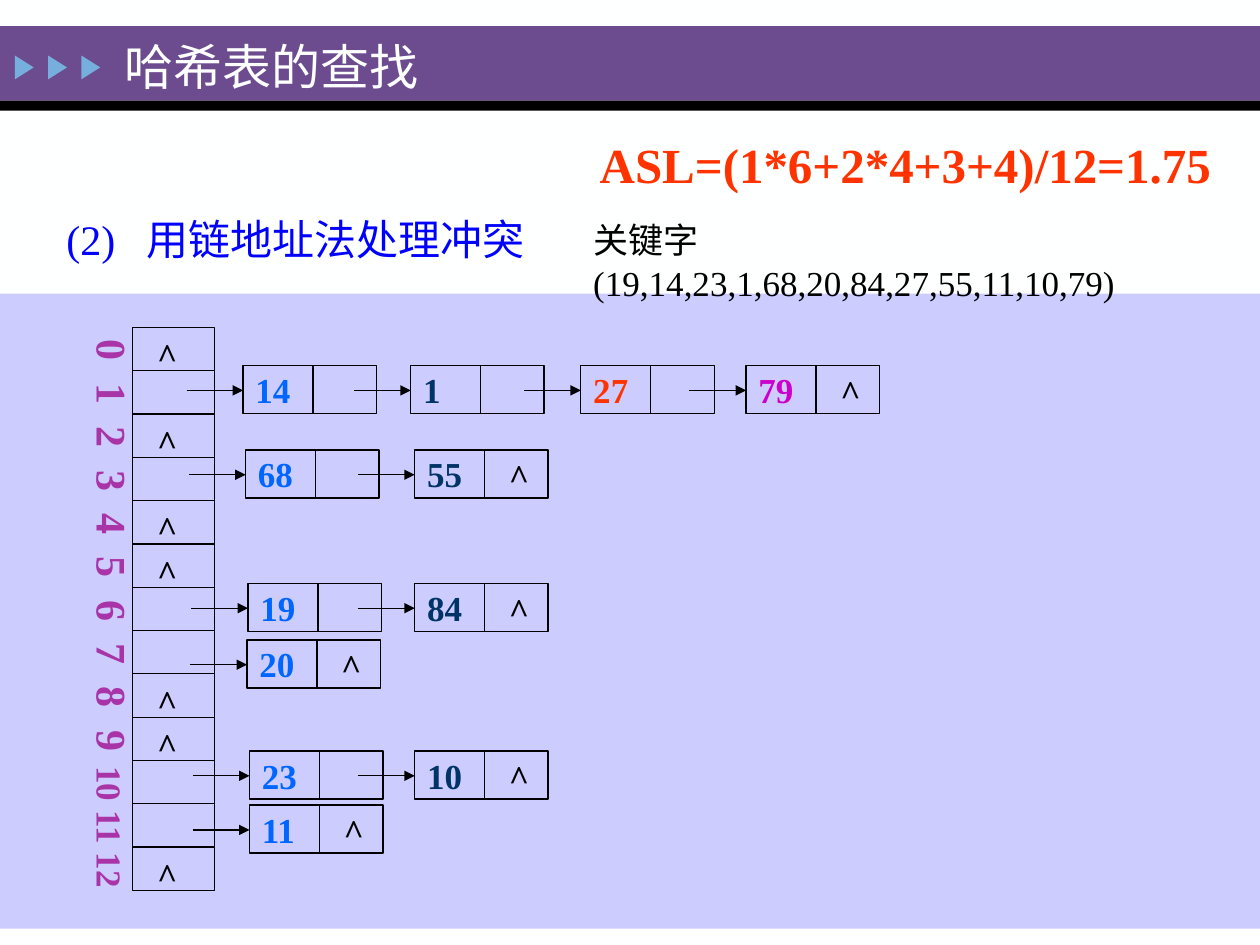
from pptx import Presentation
from pptx.dml.color import RGBColor
from pptx.enum.shapes import MSO_CONNECTOR, MSO_SHAPE
from pptx.enum.text import MSO_ANCHOR, MSO_AUTO_SIZE, PP_ALIGN
from pptx.oxml.ns import qn
from pptx.util import Cm, Pt
from lxml.etree import SubElement

# Hash table slots (cm)
SLOT_COUNT = 13
TABLE_LEFT, TABLE_TOP, TABLE_WIDTH, TABLE_HEIGHT = 2.67, 6.6, 1.65, 11.35
SLOT_HEIGHT = TABLE_HEIGHT / SLOT_COUNT
EMPTY_SLOTS = (0, 2, 4, 5, 8, 9, 12)

# Chain nodes (cm)
NODE_WIDTH, NODE_HEIGHT = 2.69, 0.97
DIVIDER_OFFSET = 1.41
ARROW_LENGTH, ARROW_OFFSET = 1.14, 0.5
CARET_OFFSET = 1.65
NODE_COLORS = ("0066FF", "003366", "FF3300", "CC00CC")
# Top of each chain, then its nodes as (left, key)
CHAINS = (
    (7.37, ((4.9, "14"), (8.28, "1"), (11.71, "27"), (15.04, "79"))),
    (9.07, ((4.95, "68"), (8.36, "55"))),
    (11.76, ((5, "19"), (8.36, "84"))),
    (12.9, ((4.98, "20"),)),
    (15.14, ((5.03, "23"), (8.36, "10"))),
    (16.23, ((5.03, "11"),)),
)


def color(hex_string):
    return RGBColor.from_string(hex_string)


class SlideBuilder:
    font_name = "Times New Roman"
    line_color = "000000"
    line_width = Pt(0.75)

    def __init__(self, slide):
        self.slide = slide

    def style(self, paragraph, size, text_color, bold=False):
        paragraph.alignment = PP_ALIGN.LEFT
        font = paragraph.font
        font.name = self.font_name
        font.size = Pt(size)
        font.bold = bold
        font.color.rgb = color(text_color)

    def tab_stops(self, paragraph, positions, alignment):
        """Add tab stops; call before the paragraph font is set."""
        tab_list = SubElement(paragraph._p.get_or_add_pPr(), qn("a:tabLst"))
        for position in positions:
            SubElement(tab_list, qn("a:tab"), pos=str(Cm(position)), algn=alignment)

    def title(self, text, left, top, width, height):
        title = self.slide.shapes.title
        title.left, title.top = Cm(left), Cm(top)
        title.width, title.height = Cm(width), Cm(height)
        frame = title.text_frame
        frame.text = text
        frame.auto_size = MSO_AUTO_SIZE.NONE
        frame.vertical_anchor = MSO_ANCHOR.MIDDLE
        self.style(frame.paragraphs[0], 28, "FEFFFF")
        # Bring the title in front of the header band
        title._element.getparent().append(title._element)

    def shape(self, kind, left, top, width, height, fill=None):
        """Draw a filled shape, or an outlined one when no fill is given."""
        shape = self.slide.shapes.add_shape(
            kind, Cm(left), Cm(top), Cm(width), Cm(height))
        shape.shadow.inherit = False
        if fill:
            shape.fill.solid()
            shape.fill.fore_color.rgb = color(fill)
            shape.line.fill.background()
        else:
            shape.fill.background()
            shape.line.color.rgb = color(self.line_color)
            shape.line.width = self.line_width
        return shape

    def line(self, x1, y1, x2, y2, arrow=False):
        connector = self.slide.shapes.add_connector(
            MSO_CONNECTOR.STRAIGHT, Cm(x1), Cm(y1), Cm(x2), Cm(y2))
        connector.line.color.rgb = color(self.line_color)
        connector.line.width = self.line_width
        if arrow:
            SubElement(connector.line._get_or_add_ln(), qn("a:tailEnd"), type="triangle")
        SubElement(connector._element.spPr, qn("a:effectLst"))

    def text_box(self, left, top, width, height, wrap=True):
        box = self.slide.shapes.add_textbox(Cm(left), Cm(top), Cm(width), Cm(height))
        frame = box.text_frame
        frame.word_wrap = wrap
        frame.auto_size = MSO_AUTO_SIZE.NONE if wrap else MSO_AUTO_SIZE.SHAPE_TO_FIT_TEXT
        return frame

    def text(self, text, place, size, text_color, bold=False, wrap=True, tabs=()):
        paragraph = self.text_box(*place, wrap=wrap).paragraphs[0]
        paragraph.text = text
        if tabs:
            self.tab_stops(paragraph, tabs, "l")
        self.style(paragraph, size, text_color, bold)

    def caret(self, left, top):
        """Mark an empty pointer."""
        self.text("^", (left, top, 0.91, 1.09), 20, "000000", bold=True, wrap=False)

    def slot_numbers(self):
        frame = self.text_box(1.37, TABLE_TOP, 1.55, 12.12)
        frame._txBody.bodyPr.set("vert", "eaVert")
        paragraph = frame.paragraphs[0]
        self.tab_stops(
            paragraph, [i * SLOT_HEIGHT + 0.22 for i in range(1, SLOT_COUNT)], "ctr")
        self.style(paragraph, 24, "A834A8", bold=True)
        numbers = [str(i) for i in range(SLOT_COUNT)]
        paragraph.add_run().text = "\t".join(numbers[:10]) + "\t"
        two_digits = paragraph.add_run()
        two_digits.text = "\t".join(numbers[10:])
        two_digits.font.size = Pt(20)

    def slots(self):
        self.shape(MSO_SHAPE.RECTANGLE, TABLE_LEFT, TABLE_TOP, TABLE_WIDTH, TABLE_HEIGHT)
        for i in range(1, SLOT_COUNT):
            y = TABLE_TOP + i * SLOT_HEIGHT
            self.line(TABLE_LEFT, y, TABLE_LEFT + TABLE_WIDTH, y)
        for i in EMPTY_SLOTS:
            self.caret(TABLE_LEFT + 0.25, TABLE_TOP + i * SLOT_HEIGHT)

    def node(self, left, top, key, key_color):
        """Draw a list node with the arrow that leads to it."""
        box = self.shape(MSO_SHAPE.RECTANGLE, left, top, NODE_WIDTH, NODE_HEIGHT)
        box.text_frame.text = key
        box.text_frame.vertical_anchor = MSO_ANCHOR.MIDDLE
        self.style(box.text_frame.paragraphs[0], 20, key_color, bold=True)
        divider = left + DIVIDER_OFFSET
        self.line(divider, top, divider, top + NODE_HEIGHT)
        arrow_y = top + ARROW_OFFSET
        self.line(left - ARROW_LENGTH, arrow_y, left, arrow_y, arrow=True)

    def chain(self, top, nodes):
        for (left, key), key_color in zip(nodes, NODE_COLORS):
            self.node(left, top, key, key_color)
        last_left = nodes[-1][0]
        self.caret(last_left + CARET_OFFSET, top - 0.03)


def main():
    presentation = Presentation()
    presentation.slide_width, presentation.slide_height = Cm(25.4), Cm(19.05)
    slide = presentation.slides.add_slide(presentation.slide_layouts[5])
    slide.background.fill.solid()
    slide.background.fill.fore_color.rgb = color("FEFFFF")
    builder = SlideBuilder(slide)

    builder.shape(MSO_SHAPE.RECTANGLE, 0, 0.53, 25.4, 1.5, "6C4C8F")
    builder.shape(MSO_SHAPE.RECTANGLE, 0, 2.03, 25.4, 0.2, "000000")
    for i in range(3):
        triangle = builder.shape(
            MSO_SHAPE.ISOSCELES_TRIANGLE, 0.25 + 0.67 * i, 1.17, 0.48, 0.38, "76AEDD")
        triangle.rotation = 90

    builder.shape(MSO_SHAPE.RECTANGLE, 0, 5.92, 25.4, 12.8, "CCCCFF")
    builder.text("(2)\t用链地址法处理冲突", (1.09, 4.17, 9.91, 1.3), 24, "0000FF",
                 tabs=[1.62])
    builder.slots()
    builder.slot_numbers()
    for top, nodes in CHAINS:
        builder.chain(top, nodes)

    builder.text("ASL=(1*6+2*4+3+4)/12=1.75", (11.84, 2.59, 12.85, 1.45), 28, "FF3300",
                 bold=True, wrap=False)
    builder.text("关键字(19,14,23,1,68,20,84,27,55,11,10,79)", (11.71, 4.29, 12.95, 1.09),
                 20, "000000")
    builder.title("哈希表的查找", 2.26, 0.61, 9.02, 1.42)
    presentation.save("out.pptx")


if __name__ == "__main__":
    main()
